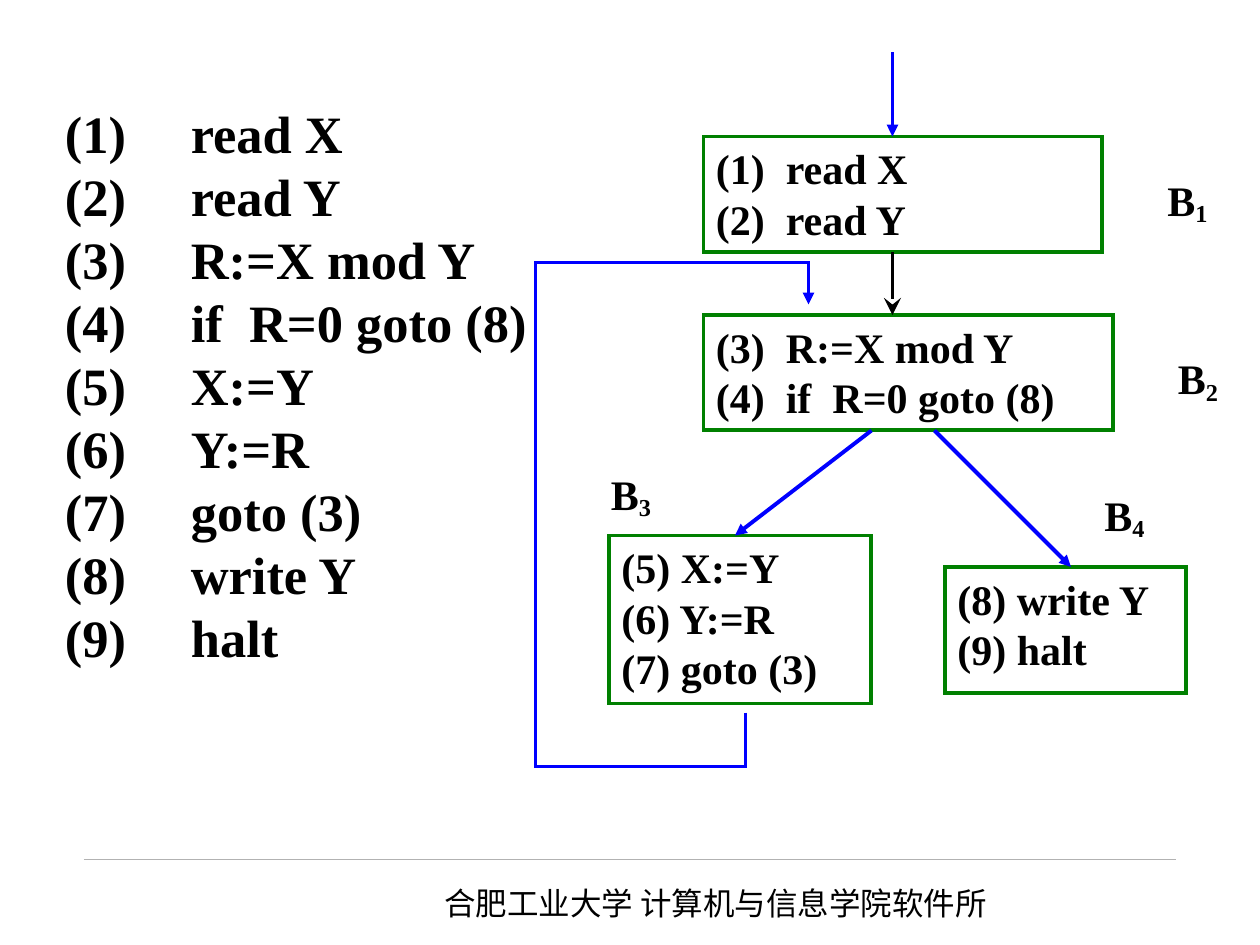
import dataclasses

import pptx
import pptx.dml.color
import pptx.enum.dml
import pptx.enum.shapes
import pptx.enum.text
import pptx.oxml
import pptx.oxml.ns
import pptx.util

PX = 9525  # EMU in one px, 96 px to the inch
TAB = 96  # distance from the number to the statement in the listing
NAMESPACE = pptx.oxml.ns.nsdecls("a")
BLACK = pptx.dml.color.RGBColor(0x00, 0x00, 0x00)
BLUE = pptx.dml.color.RGBColor(0x00, 0x00, 0xFF)
GREEN = pptx.dml.color.RGBColor(0x00, 0x80, 0x00)
GRAY = pptx.dml.color.RGBColor(0xB2, 0xB2, 0xB2)
SERIF = "Times New Roman"
CHINESE = "Noto Sans CJK SC"


@dataclasses.dataclass(frozen=True)
class Box:
    left: int
    top: int
    width: int
    height: int

    def emu(self) -> list[int]:
        return [value * PX for value in dataclasses.astuple(self)]


@dataclasses.dataclass(frozen=True)
class Block:
    """A basic block of the flow graph and the place of its label."""
    number: str
    box: Box
    statements: list[str]
    label_left: int
    label_top: int


@dataclasses.dataclass(frozen=True)
class Edge:
    start: tuple[int, int]
    end: tuple[int, int]
    color: pptx.dml.color.RGBColor = BLUE
    width: float = 2.25
    head: str | None = "triangle"
    head_size: str = "med"


PROGRAM = ["read X", "read Y", "R:=X mod Y", "if  R=0 goto (8)", "X:=Y",
           "Y:=R", "goto (3)", "write Y", "halt"]

BLOCKS = [
    Block("4", Box(720, 432, 184, 96), ["(8) write Y", "(9) halt"], 832, 368),
    Block("3", Box(464, 408, 200, 128),
          ["(5) X:=Y", "(6) Y:=R", "(7) goto (3)"], 456, 352),
    Block("2", Box(536, 240, 312, 88),
          ["(3)  R:=X mod Y", "(4)  if  R=0 goto (8)"], 888, 264),
    Block("1", Box(536, 104, 304, 88), ["(1)  read X", "(2)  read Y"], 880, 128),
]

EDGES = [
    Edge((680, 40), (680, 104)),
    Edge((664, 328), (560, 408)),
    Edge((712, 328), (816, 432)),
    Edge((680, 192), (680, 240), BLACK, 1.25, "stealth", "lg"),
]

LOOP = [(568, 543), (568, 584), (408, 584), (408, 200), (616, 200), (616, 232)]


def write_text(shape, lines: list[str], *, size: int, font: str = SERIF,
               bold: bool = True, subscript: str = "", grow: bool = False) -> None:
    frame = shape.text_frame
    frame.word_wrap = True
    frame.vertical_anchor = pptx.enum.text.MSO_ANCHOR.TOP
    if grow:
        frame.auto_size = pptx.enum.text.MSO_AUTO_SIZE.SHAPE_TO_FIT_TEXT
    for index, line in enumerate(lines):
        paragraph = frame.paragraphs[0] if index == 0 else frame.add_paragraph()
        paragraph.alignment = pptx.enum.text.PP_ALIGN.LEFT
        if "\t" in line:
            paragraph._p.get_or_add_pPr().append(pptx.oxml.parse_xml(
                f'<a:tabLst {NAMESPACE}><a:tab pos="{TAB * PX}" algn="l"/></a:tabLst>'))
        for text in filter(None, (line, subscript)):
            run = paragraph.add_run()
            run.text = text
            run.font.size = pptx.util.Pt(size)
            run.font.bold = bold
            run.font.name = font
            run.font.color.rgb = BLACK
            properties = run.font._element
            properties.find(pptx.oxml.ns.qn("a:latin")).addnext(
                pptx.oxml.parse_xml(f'<a:ea {NAMESPACE} typeface="{font}"/>'))
        if subscript:
            properties.set("baseline", "-16000")


def add_text_box(slide, box: Box, lines: list[str], **text_format) -> None:
    write_text(slide.shapes.add_textbox(*box.emu()), lines, **text_format)


def style_line(line, color: pptx.dml.color.RGBColor, width: float,
               head: str | None = None, head_size: str = "med") -> None:
    line.color.rgb = color
    line.width = pptx.util.Pt(width)
    outline = line._get_or_add_ln()
    outline.append(pptx.oxml.parse_xml(f'<a:miter {NAMESPACE} lim="800000"/>'))
    if head:
        outline.append(pptx.oxml.parse_xml(
            f'<a:tailEnd {NAMESPACE} type="{head}" w="{head_size}" len="{head_size}"/>'))


def draw_edge(slide, edge: Edge) -> None:
    points = [value * PX for value in edge.start + edge.end]
    connector = slide.shapes.add_connector(
        pptx.enum.shapes.MSO_CONNECTOR.STRAIGHT, *points)
    style_line(connector.line, edge.color, edge.width, edge.head, edge.head_size)
    connector._element.spPr.append(pptx.oxml.parse_xml(f'<a:effectLst {NAMESPACE}/>'))


def draw_block(slide, block: Block) -> None:
    shape = slide.shapes.add_shape(
        pptx.enum.shapes.MSO_SHAPE.RECTANGLE, *block.box.emu())
    shape.shadow.inherit = False
    shape.fill.background()
    style_line(shape.line, GREEN, 2.25)
    write_text(shape, block.statements, size=24)
    add_text_box(slide, Box(block.label_left, block.label_top, 65, 51), ["B"],
                 size=24, subscript=block.number, grow=True)


def draw_loop(slide, points: list[tuple[int, int]]) -> None:
    builder = slide.shapes.build_freeform(*points[0], scale=PX)
    builder.add_line_segments(points[1:], close=False)
    shape = builder.convert_to_shape()
    shape.shadow.inherit = False
    shape.fill.background()
    style_line(shape.line, BLUE, 2.25, "triangle")


def main() -> None:
    presentation = pptx.Presentation()
    presentation.slide_width = 960 * PX
    presentation.slide_height = 720 * PX
    slide = presentation.slides.add_slide(presentation.slide_layouts[6])

    # Footer
    draw_edge(slide, Edge((64, 655), (896, 655), GRAY, 0.25, None))
    add_text_box(slide, Box(329, 669, 453, 38),
                 ["合肥工业大学 计算机与信息学院软件所"], size=18,
                 font=CHINESE, bold=False, grow=True)

    # Program listing
    add_text_box(slide, Box(40, 72, 384, 552),
                 [f"({number})\t{statement}"
                  for number, statement in enumerate(PROGRAM, start=1)], size=30)

    # Flow graph
    for block in BLOCKS:
        draw_block(slide, block)
    for edge in EDGES:
        draw_edge(slide, edge)
    draw_loop(slide, LOOP)

    presentation.save("out.pptx")


if __name__ == "__main__":
    main()
